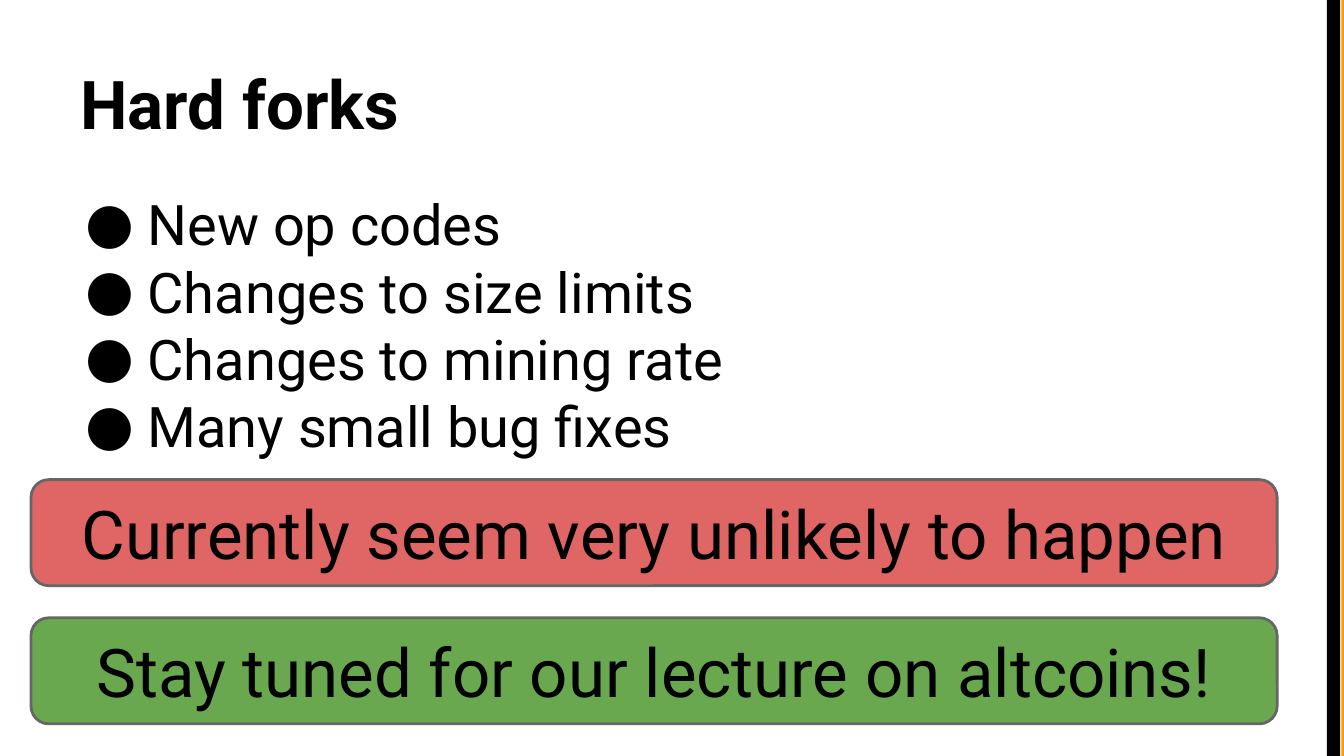
from dataclasses import dataclass

from lxml.etree import SubElement
from pptx import Presentation
from pptx.dml.color import RGBColor
from pptx.enum.shapes import MSO_SHAPE as Preset
from pptx.enum.text import MSO_ANCHOR as Anchor, PP_ALIGN as Align
from pptx.oxml.ns import qn
from pptx.util import Pt


@dataclass(frozen=True)
class Theme:
    font: str = "Roboto"
    text: str = "000000"
    background: str = "FFFFFF"
    outline: str = "666666"
    orange: str = "FF9900"
    red: str = "E06666"
    green: str = "6AA84F"
    large: int = 36
    body: int = 30


THEME = Theme()
WIDTH, HEIGHT = 720, 405
INSET = 7.2
TITLE = "Hard forks"
BULLETS = [
    "New op codes",
    "Changes to size limits",
    "Changes to mining rate",
    "Many small bug fixes",
]
BANNERS = [
    ("Currently seem very unlikely to happen", THEME.red),
    ("Stay tuned for our lecture on altcoins!", THEME.green),
]
BANNER_LEFT, BANNER_TOP, BANNER_WIDTH, BANNER_HEIGHT = 16.6, 257, 667.6, 56.8
BANNER_STEP = 74
EDGE_BARS = [(718.6, 1.4, THEME.orange), (710.8, 7.2, THEME.text)]


def color(value):
    return RGBColor.from_string(value)


def add_run(paragraph, text, size, bold=False):
    run = paragraph.add_run()
    run.text = text
    run.font.name = THEME.font
    run.font.size = Pt(size)
    run.font.bold = bold
    run.font.color.rgb = color(THEME.text)


def prepare_frame(shape, anchor):
    frame = shape.text_frame
    frame.word_wrap = True
    frame.vertical_anchor = anchor
    frame.margin_left = frame.margin_right = Pt(INSET)
    frame.margin_top = frame.margin_bottom = Pt(INSET)
    return frame


def add_text_box(slide, box, anchor):
    return prepare_frame(slide.shapes.add_textbox(*map(Pt, box)), anchor)


def add_filled_shape(slide, preset, box, fill):
    shape = slide.shapes.add_shape(preset, *map(Pt, box))
    shape.shadow.inherit = False
    shape.fill.solid()
    shape.fill.fore_color.rgb = color(fill)
    shape.line.fill.background()
    return shape


def add_bullet(paragraph):
    properties = paragraph._p.get_or_add_pPr()
    properties.set("marL", str(Pt(36)))
    properties.set("indent", str(Pt(-33)))
    bullet_color = SubElement(properties, qn("a:buClr"))
    SubElement(bullet_color, qn("a:srgbClr"), val=THEME.text)
    SubElement(properties, qn("a:buFont"), typeface=THEME.font)
    SubElement(properties, qn("a:buChar"), char="●")


def add_banner(slide, index, text, fill):
    box = (BANNER_LEFT, BANNER_TOP + index * BANNER_STEP, BANNER_WIDTH, BANNER_HEIGHT)
    banner = add_filled_shape(slide, Preset.ROUNDED_RECTANGLE, box, fill)
    banner.line.color.rgb = color(THEME.outline)
    banner.line.width = Pt(1.5)
    paragraph = prepare_frame(banner, Anchor.MIDDLE).paragraphs[0]
    paragraph.alignment = Align.CENTER
    add_run(paragraph, text, THEME.large)


def main():
    """Build the hard forks slide."""
    presentation = Presentation()
    presentation.slide_width, presentation.slide_height = Pt(WIDTH), Pt(HEIGHT)
    slide = presentation.slides.add_slide(presentation.slide_layouts[6])
    slide.background.fill.solid()
    slide.background.fill.fore_color.rgb = color(THEME.background)

    for left, width, fill in EDGE_BARS:
        add_filled_shape(slide, Preset.RECTANGLE, (left, 0, width, HEIGHT), fill)

    title = add_text_box(slide, (36, 16.2, 648, 67.5), Anchor.BOTTOM)
    add_run(title.paragraphs[0], TITLE, THEME.large, bold=True)

    body = add_text_box(slide, (36, 94.5, 657, 275), Anchor.TOP)
    for index, text in enumerate(BULLETS):
        paragraph = body.add_paragraph() if index else body.paragraphs[0]
        add_bullet(paragraph)
        add_run(paragraph, text, THEME.body)

    for index, (text, fill) in enumerate(BANNERS):
        add_banner(slide, index, text, fill)

    presentation.save("out.pptx")


if __name__ == "__main__":
    main()
